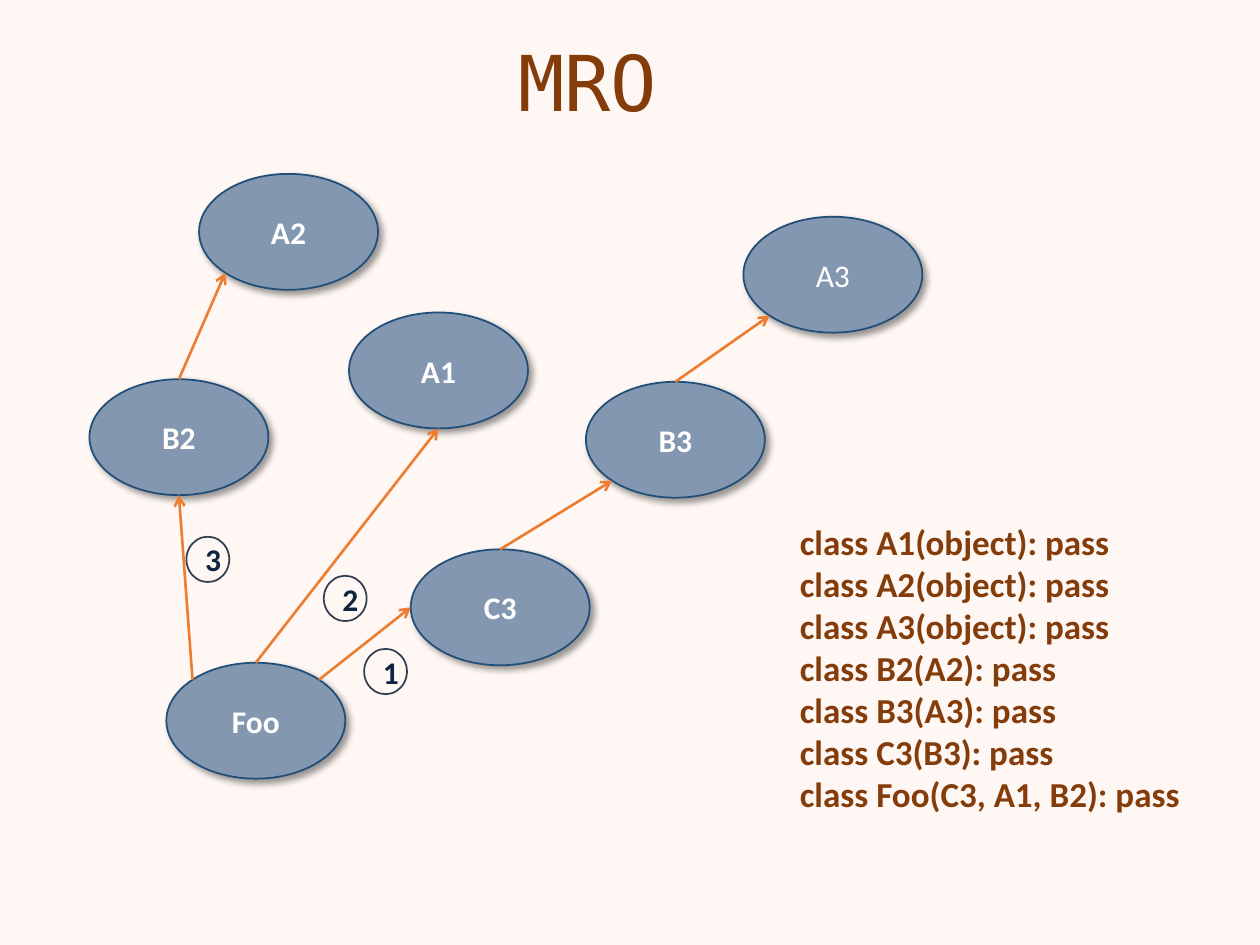
from dataclasses import dataclass
from math import cos, radians, sin

from lxml.etree import SubElement
from pptx import Presentation
from pptx.dml.color import RGBColor
from pptx.enum.shapes import MSO_CONNECTOR, MSO_SHAPE
from pptx.enum.text import MSO_ANCHOR, PP_ALIGN
from pptx.oxml.ns import qn
from pptx.util import Inches, Pt


@dataclass(frozen=True)
class Theme:
    """Colours, fonts and type sizes of the slide."""
    back: str = "FEF7F3"
    brown: str = "843C0B"
    node: str = "8497B0"
    edge: str = "1F4E79"
    ring: str = "333F50"
    digit: str = "0F243E"
    arrow: str = "ED7D31"
    white: str = "FFFFFF"
    sans: str = "Calibri"
    mono: str = "DejaVu Sans Mono"
    head: int = 44
    code: int = 20
    label: int = 18


@dataclass(frozen=True)
class Box:
    """An area in grid cells of a tenth of an inch."""
    x: float
    y: float
    w: float
    h: float

    def inner(self, x, y, w, h):
        """Return an area placed relative to this one."""
        return Box(self.x + x, self.y + y, w, h)

    def size(self):
        """Return left, top, width and height as lengths."""
        return [Inches(n / 10) for n in (self.x, self.y, self.w, self.h)]


THEME = Theme()
PAGE = Box(0, 0, 100, 75)
OVAL = (14.2, 9.2)
RING = (3.4, 3.6)
TOP, TOP_LEFT, LEFT, LOW_LEFT, LOW, TOP_RIGHT = 0, 1, 2, 3, 4, 7
NODES = {
    "A1": (20.6, 11), "A2": (8.7, 0), "A3": (51.9, 3.4), "B2": (0, 16.3),
    "B3": (39.4, 16.5), "C3": (25.5, 29.8), "Foo": (6.1, 38.8),
}
LINKS = [
    ("B2", TOP, "A2", LOW_LEFT), ("B3", TOP, "A3", LOW_LEFT),
    ("C3", TOP, "B3", LOW_LEFT), ("Foo", TOP, "A1", LOW),
    ("Foo", TOP_RIGHT, "C3", LEFT), ("Foo", TOP_LEFT, "B2", LOW),
]
STEPS = {"1": (21.8, 37.7), "2": (18.6, 31.9), "3": (7.7, 28.8)}
CODE = [
    "class A1(object): pass",
    "class A2(object): pass",
    "class A3(object): pass",
    "class B2(A2): pass",
    "class B3(A3): pass",
    "class C3(B3): pass",
    "class Foo(C3, A1, B2): pass",
]


def tint(code):
    """Turn a hex code into a colour."""
    return RGBColor.from_string(code)


def write(shape, text, size, color, font=THEME.sans, bold=False,
          align=PP_ALIGN.CENTER, anchor=MSO_ANCHOR.MIDDLE):
    """Put formatted text into a shape."""
    frame = shape.text_frame
    frame.word_wrap = True
    frame.vertical_anchor = anchor
    para = frame.paragraphs[0]
    para.text = text
    para.alignment = align
    for run in para.runs:
        run.font.size = Pt(size)
        run.font.name = font
        run.font.bold = bold
        run.font.color.rgb = tint(color)


def shade(shape):
    """Give a shape a soft shadow to the lower right."""
    shape.shadow.inherit = False
    effects = shape.element.spPr.find(qn("a:effectLst"))
    outer = SubElement(effects, qn("a:outerShdw"), blurRad=str(Pt(4)),
                       dist=str(Pt(3)), dir="2700000", algn="tl", rotWithShape="0")
    black = SubElement(outer, qn("a:srgbClr"), val="000000")
    SubElement(black, qn("a:alpha"), val="40000")


def site(box, index):
    """Return the point of one of the eight sites on an oval."""
    turn = radians(90 + 45 * index)
    return (Inches((box.x + box.w / 2 * (1 + cos(turn))) / 10),
            Inches((box.y + box.h / 2 * (1 - sin(turn))) / 10))


def node(slide, box, name):
    """Draw one class as a filled oval."""
    oval = slide.shapes.add_shape(MSO_SHAPE.OVAL, *box.size())
    oval.fill.solid()
    oval.fill.fore_color.rgb = tint(THEME.node)
    oval.line.color.rgb = tint(THEME.edge)
    oval.line.width = Pt(1)
    shade(oval)
    write(oval, name, THEME.label, THEME.white, bold=name != "A3")
    return oval


def link(slide, start, end):
    """Draw an arrow glued to two sites, each given as oval, box and index."""
    arrow = slide.shapes.add_connector(
        MSO_CONNECTOR.STRAIGHT, *site(*start[1:]), *site(*end[1:]))
    arrow.line.color.rgb = tint(THEME.arrow)
    arrow.line.width = Pt(1.5)
    props = arrow.element.spPr
    SubElement(props.find(qn("a:ln")), qn("a:tailEnd"), type="arrow")
    SubElement(props, qn("a:effectLst"))
    glue = arrow.element.nvCxnSpPr.cNvCxnSpPr
    for tag, (oval, _, index) in (("a:stCxn", start), ("a:endCxn", end)):
        SubElement(glue, qn(tag), id=str(oval.shape_id), idx=str(index))


def step(slide, box, digit):
    """Draw one numbered ring."""
    ring = slide.shapes.add_shape(MSO_SHAPE.FLOWCHART_CONNECTOR, *box.size())
    ring.shadow.inherit = False
    ring.fill.background()
    ring.line.color.rgb = tint(THEME.ring)
    ring.line.width = Pt(1)
    write(ring, digit, THEME.label, THEME.digit, bold=True)


def tree(slide, box):
    """Draw the classes, their arrows and the order of the bases."""
    areas = {name: box.inner(*spot, *OVAL) for name, spot in NODES.items()}
    ovals = {name: node(slide, area, name) for name, area in areas.items()}
    for child, out, base, into in LINKS:
        link(slide, (ovals[child], areas[child], out),
             (ovals[base], areas[base], into))
    for digit, spot in STEPS.items():
        step(slide, box.inner(*spot, *RING), digit)


def title(slide, box):
    """Fill the title placeholder."""
    head = slide.shapes.title
    head.left, head.top, head.width, head.height = box.size()
    write(head, "MRO", THEME.head, THEME.brown, font=THEME.mono,
          anchor=MSO_ANCHOR.TOP)


def listing(slide, box):
    """Place the code listing."""
    area = slide.shapes.add_textbox(*box.size())
    write(area, "\v".join(CODE), THEME.code, THEME.brown, bold=True,
          align=PP_ALIGN.LEFT, anchor=MSO_ANCHOR.TOP)


def main():
    """Build and save the slide."""
    deck = Presentation()
    deck.slide_width, deck.slide_height = PAGE.size()[2:]
    slide = deck.slides.add_slide(deck.slide_layouts.get_by_name("Title Only"))
    slide.background.fill.solid()
    slide.background.fill.fore_color.rgb = tint(THEME.back)
    listing(slide, PAGE.inner(62.5, 40.8, 35.3, 27.6))
    title(slide, PAGE.inner(32.6, 2.2, 28.1, 8.4))
    tree(slide, PAGE.inner(7.1, 13.8, 66.1, 48))
    deck.save("out.pptx")


if __name__ == "__main__":
    main()
